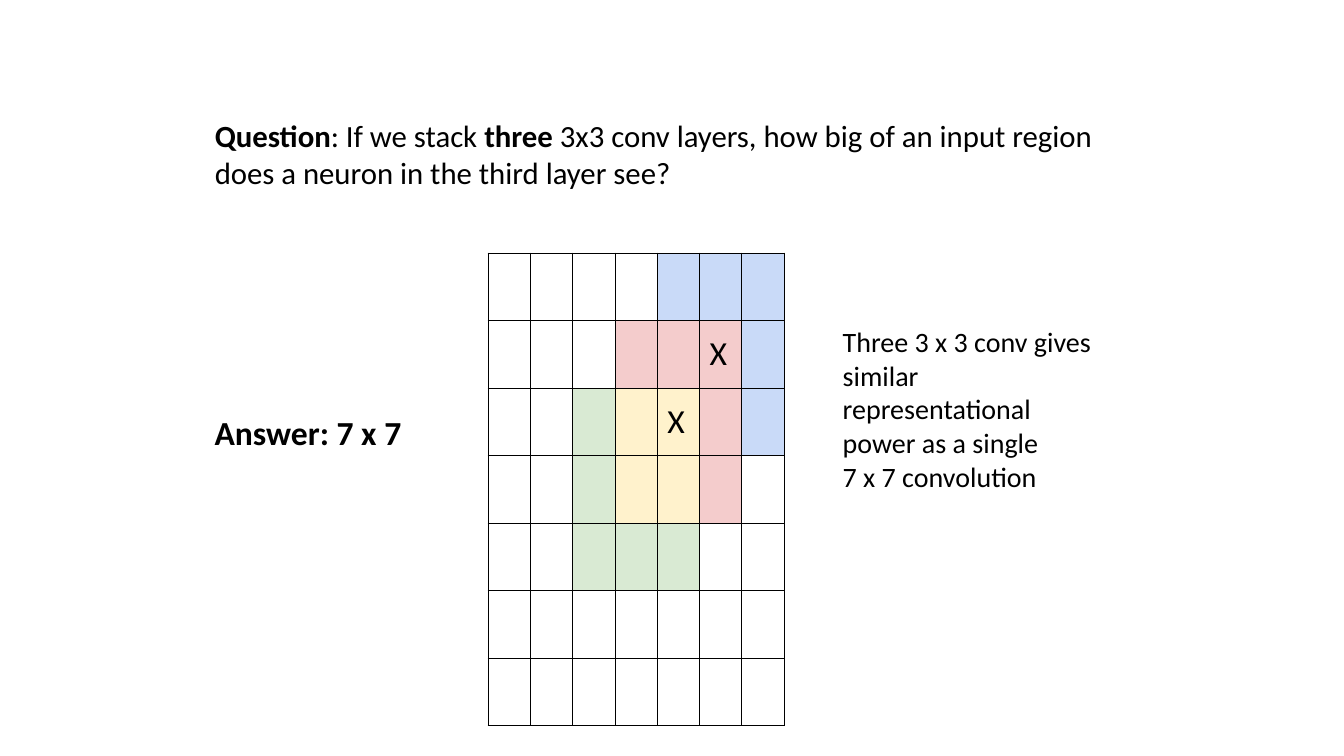
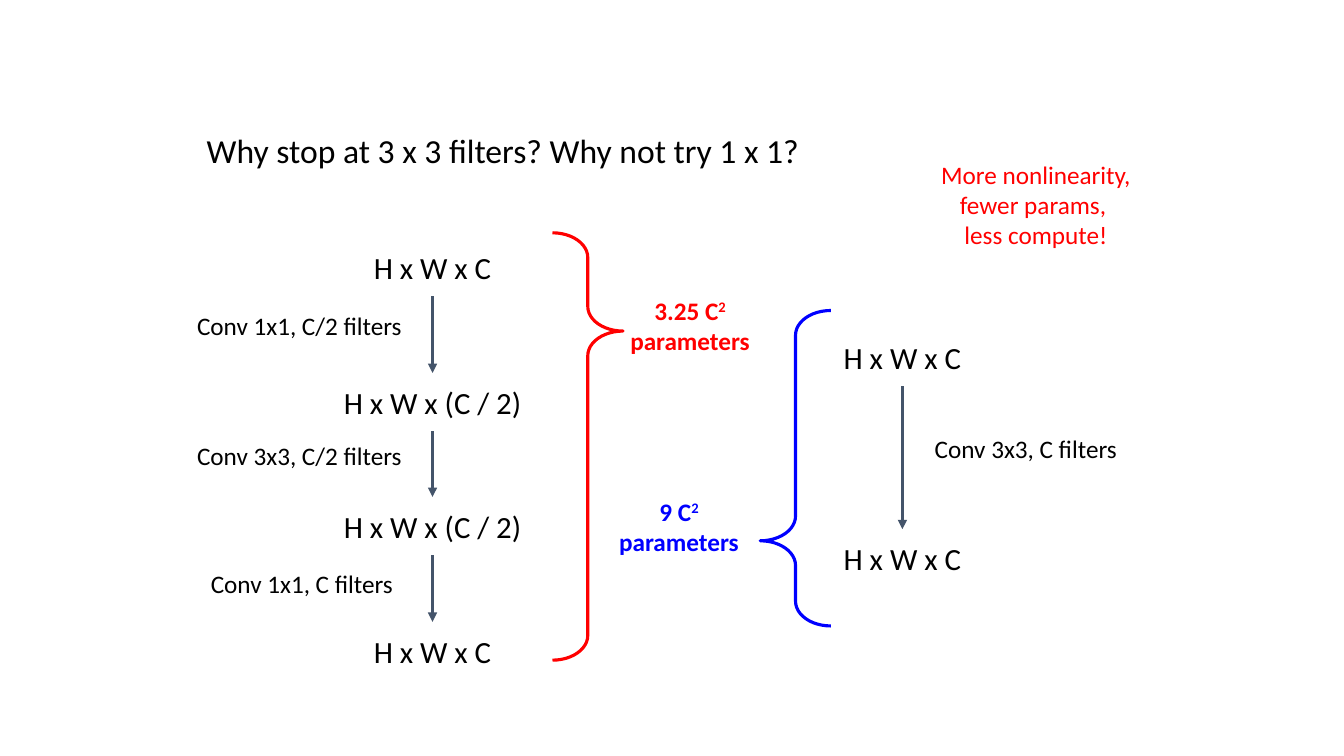
from dataclasses import dataclass

from lxml import etree
from pptx import Presentation
from pptx import util as u
from pptx.dml import color
from pptx.enum import shapes, text
from pptx.oxml import ns

PX = 9144
SLIDE_WIDTH, SLIDE_HEIGHT = 1333, 750
TITLE_ONLY = 5
FONT = "Calibri"
MARGIN = 10
COLORS = {
    "black": "000000",
    "white": "FFFFFF",
    "red": "FF0000",
    "blue": "0000FF",
    "slate": "44546A",
    "B": "C9DAF8",
    "R": "F4CCCC",
    "G": "D9EAD3",
    "Y": "FFF2CC",
}
GRID = ("....BBB", "...RRRB", "..GYYRB", "..GYYR.", "..GGG..", ".......", ".......")
NEURONS = ((1, 5), (2, 4))
CELL_WIDTH, CELL_HEIGHT = 42, 67
CELL_MARGIN_Y = 13
STAGE_HEIGHT = 58


@dataclass(frozen=True)
class Box:
    left: int
    top: int
    width: int
    height: int

    def emu(self) -> list[int]:
        return [px(value) for value in (self.left, self.top, self.width, self.height)]


@dataclass(frozen=True)
class Span:
    text: str
    bold: bool = False
    superscript: bool = False


@dataclass(frozen=True)
class Style:
    size: int
    color: str = "black"
    align: text.PP_ALIGN = text.PP_ALIGN.LEFT
    anchor: text.MSO_ANCHOR = text.MSO_ANCHOR.TOP


@dataclass(frozen=True)
class Stage:
    label: str
    top: int


@dataclass(frozen=True)
class Label:
    label: str
    box: Box


@dataclass(frozen=True)
class Cost:
    amount: str
    color: str
    box: Box
    brace: Box
    tip: float
    rotation: int


CENTER = text.PP_ALIGN.CENTER
MIDDLE = text.MSO_ANCHOR.MIDDLE
EXPLANATION = Style(20)
ANSWER = Style(24)
STAGE = Style(22, align=CENTER, anchor=MIDDLE)
LABEL = Style(18, align=CENTER)
BENEFIT = Style(18, "red", CENTER, MIDDLE)

BOTTLENECK = (
    Stage("H x W x C", 236),
    Stage("H x W x (C / 2)", 370),
    Stage("H x W x (C / 2)", 493),
    Stage("H x W x C", 617),
)
SINGLE = (Stage("H x W x C", 325), Stage("H x W x C", 525))
LABELS = (
    Label("Conv 1x1, C/2 filters", Box(173, 298, 248, 58)),
    Label("Conv 3x3, C/2 filters", Box(173, 427, 248, 58)),
    Label("Conv 1x1, C filters", Box(178, 554, 243, 58)),
    Label("Conv 3x3, C filters", Box(881, 420, 273, 58)),
)
COSTS = (
    Cost("3.25 C", "red", Box(601, 283, 167, 96), Box(548, 231, 70, 424), 0.23, 0),
    Cost("9 C", "blue", Box(590, 482, 167, 96), Box(754, 308, 70, 313), 0.27, 180),
)


def px(value: int) -> int:
    return u.Emu(value * PX)


def rgb(name: str) -> color.RGBColor:
    return color.RGBColor.from_string(COLORS[name])


def write(shape, paragraphs: list[list[Span]], style: Style) -> None:
    frame = shape.text_frame
    frame.word_wrap = True
    frame.auto_size = text.MSO_AUTO_SIZE.NONE
    frame.vertical_anchor = style.anchor
    frame.margin_left = frame.margin_right = px(MARGIN)
    frame.margin_top = frame.margin_bottom = px(MARGIN)
    for index, spans in enumerate(paragraphs):
        paragraph = frame.add_paragraph() if index else frame.paragraphs[0]
        paragraph.alignment = style.align
        for span in spans:
            write_span(paragraph, span, style)


def write_span(paragraph, span: Span, style: Style) -> None:
    for index, line in enumerate(span.text.split("\n")):
        if index:
            paragraph.add_line_break()
        if not line:
            continue
        run = paragraph.add_run()
        run.text = line
        run.font.name = FONT
        run.font.size = u.Pt(style.size)
        run.font.bold = span.bold
        run.font.color.rgb = rgb(style.color)
        if span.superscript:
            run.font._element.set("baseline", "30000")


def add_text(slide, box: Box, paragraphs: list[list[Span]], style: Style) -> None:
    write(slide.shapes.add_textbox(*box.emu()), paragraphs, style)


def add_titled_slide(presentation, box: Box, spans: list[Span], size: int):
    slide = presentation.slides.add_slide(presentation.slide_layouts[TITLE_ONLY])
    title = slide.shapes.title
    title.left, title.top, title.width, title.height = box.emu()
    write(title, [spans], Style(size))
    return slide


def add_cell_borders(cell) -> None:
    properties = cell._tc.get_or_add_tcPr()
    for side in ("a:lnL", "a:lnR", "a:lnT", "a:lnB"):
        line = etree.SubElement(properties, ns.qn(side), w=str(u.Pt(0.75)))
        fill = etree.SubElement(line, ns.qn("a:solidFill"))
        etree.SubElement(fill, ns.qn("a:srgbClr"), val=COLORS["black"])


def add_receptive_field(slide, left: int, top: int) -> None:
    rows, columns = len(GRID), len(GRID[0])
    box = Box(left, top, columns * CELL_WIDTH, rows * CELL_HEIGHT)
    table = slide.shapes.add_table(rows, columns, *box.emu()).table
    table.first_row = table.horz_banding = False
    for column in table.columns:
        column.width = px(CELL_WIDTH)
    for row_index, letters in enumerate(GRID):
        table.rows[row_index].height = px(CELL_HEIGHT)
        for column_index, letter in enumerate(letters):
            cell = table.cell(row_index, column_index)
            cell.margin_left = cell.margin_right = px(MARGIN)
            cell.margin_top = cell.margin_bottom = px(CELL_MARGIN_Y)
            add_cell_borders(cell)
            cell.fill.solid()
            cell.fill.fore_color.rgb = rgb("white" if letter == "." else letter)
            if (row_index, column_index) in NEURONS:
                write_span(cell.text_frame.paragraphs[0], Span("X"), ANSWER)


def add_arrow(slide, center: int, top: int, bottom: int) -> None:
    connector = slide.shapes.add_connector(
        shapes.MSO_CONNECTOR.STRAIGHT, px(center), px(top), px(center), px(bottom)
    )
    connector.line.color.rgb = rgb("slate")
    connector.line.width = u.Pt(2.25)
    properties = connector._element.spPr
    etree.SubElement(properties.find(ns.qn("a:ln")), ns.qn("a:tailEnd"), type="triangle")
    etree.SubElement(properties, ns.qn("a:effectLst"))


def add_stages(slide, center: int, stages: tuple[Stage, ...]) -> None:
    width = 220
    for stage in stages:
        box = Box(center - width // 2, stage.top, width, STAGE_HEIGHT)
        add_text(slide, box, [[Span(stage.label)]], STAGE)
    for upper, lower in zip(stages, stages[1:]):
        add_arrow(slide, center, upper.top + STAGE_HEIGHT, lower.top)


def add_cost(slide, cost: Cost) -> None:
    spans = [
        Span(cost.amount, bold=True),
        Span("2", bold=True, superscript=True),
        Span("\nparameters", bold=True),
    ]
    add_text(slide, cost.box, [spans], Style(18, cost.color, CENTER))
    brace = slide.shapes.add_shape(shapes.MSO_SHAPE.RIGHT_BRACE, *cost.brace.emu())
    brace.adjustments[0] = 0.35
    brace.adjustments[1] = cost.tip
    brace.rotation = cost.rotation
    brace.shadow.inherit = False
    brace.fill.background()
    brace.line.color.rgb = rgb(cost.color)
    brace.line.width = u.Pt(2.25)


def build_question(presentation) -> None:
    question = [
        Span("Question", bold=True),
        Span(": If we stack "),
        Span("three", bold=True),
        Span(
            " 3x3 conv layers, how big of an input region"
            " does a neuron in the third layer see?"
        ),
    ]
    slide = add_titled_slide(presentation, Box(203, 106, 926, 174), question, 22)
    add_receptive_field(slide, 484, 251)
    answer = [[Span("Answer: 7 x 7", bold=True)]]
    add_text(slide, Box(203, 399, 253, 89), answer, ANSWER)
    explanation = [
        [Span("Three 3 x 3 conv gives similar")],
        [Span("representational")],
        [Span("power as a single \n7 x 7 convolution")],
    ]
    add_text(slide, Box(826, 312, 273, 266), explanation, EXPLANATION)


def build_comparison(presentation) -> None:
    headline = [Span("Why stop at 3 x 3 filters? Why not try 1 x 1?")]
    slide = add_titled_slide(presentation, Box(195, 119, 958, 86), headline, 24)
    add_stages(slide, 429, BOTTLENECK)
    add_stages(slide, 895, SINGLE)
    for label in LABELS:
        add_text(slide, label.box, [[Span(label.label)]], LABEL)
    for cost in COSTS:
        add_cost(slide, cost)
    benefit = [[Span("More nonlinearity,\nfewer params, \nless compute!")]]
    add_text(slide, Box(906, 132, 243, 142), benefit, BENEFIT)


def main() -> None:
    presentation = Presentation()
    presentation.slide_width = px(SLIDE_WIDTH)
    presentation.slide_height = px(SLIDE_HEIGHT)
    build_question(presentation)
    build_comparison(presentation)
    presentation.save("out.pptx")


if __name__ == "__main__":
    main()
